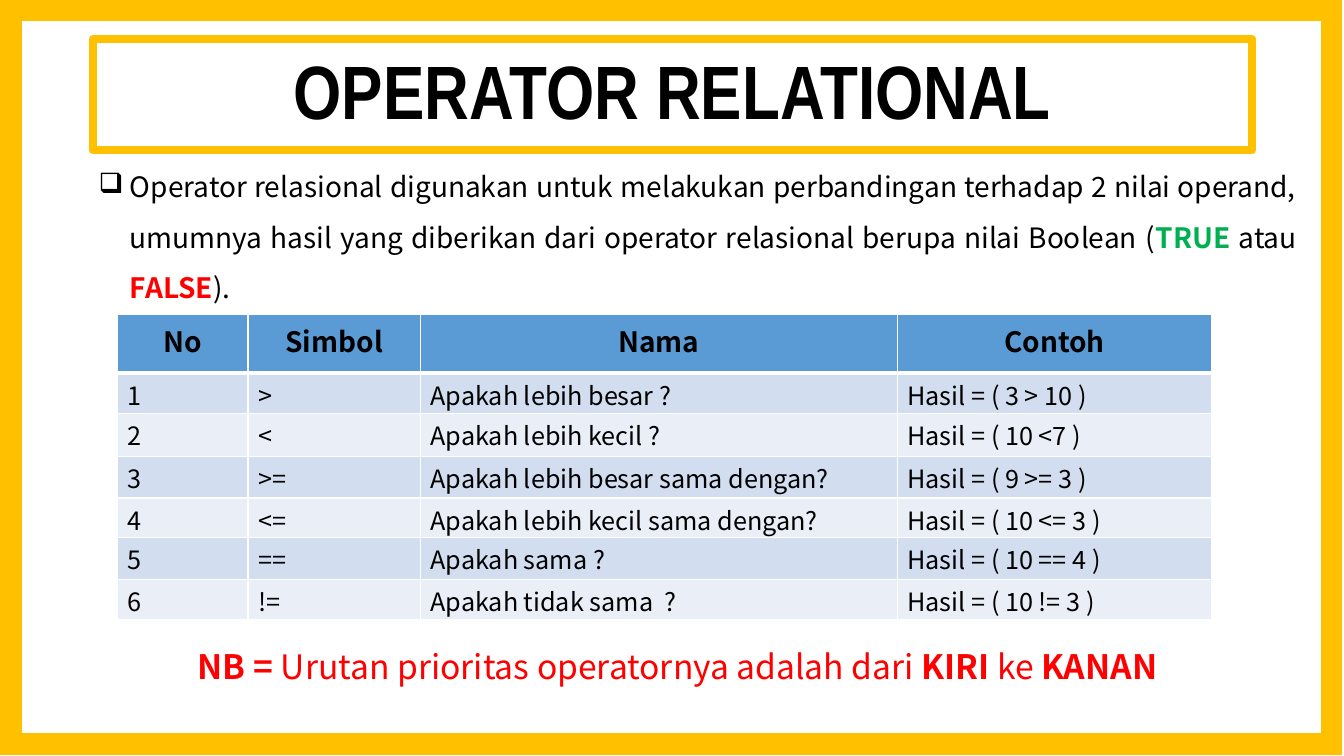
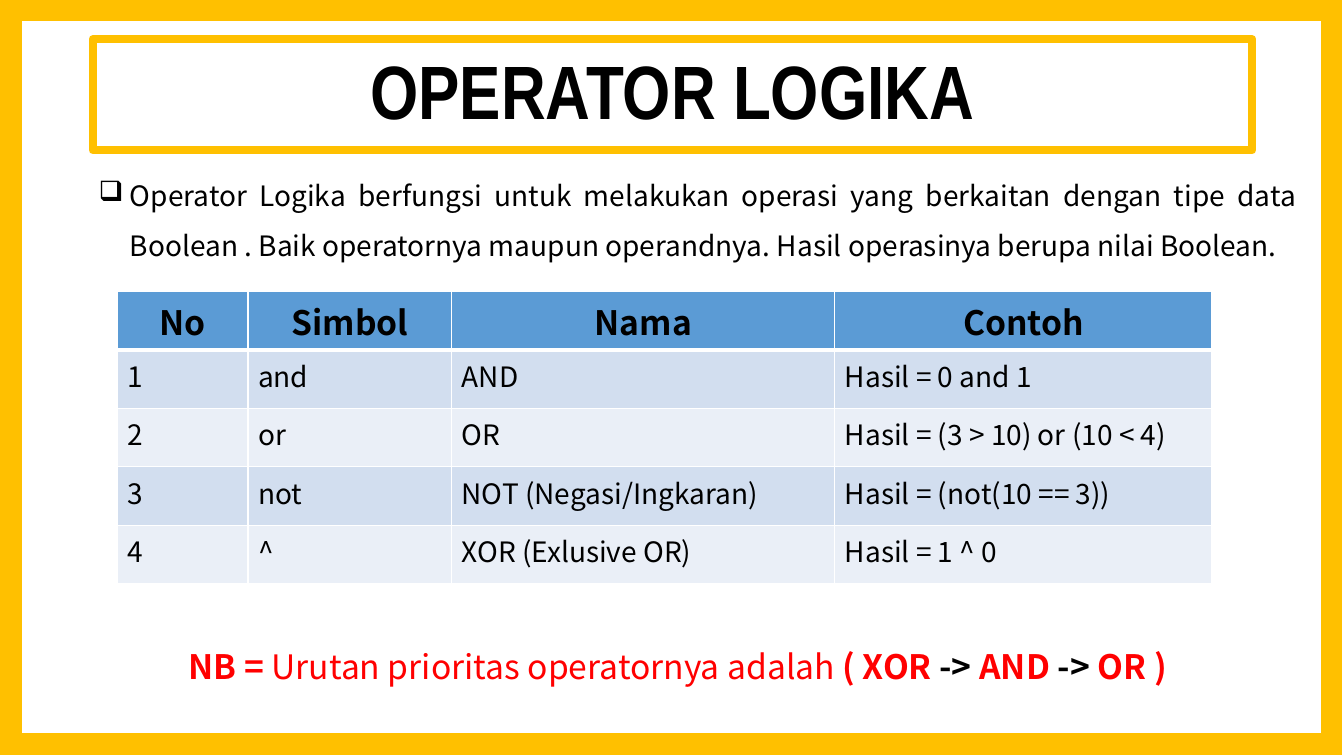
"""Build two slides that explain relational and logical operators."""
from dataclasses import dataclass
from typing import Any, NamedTuple

from lxml.etree import SubElement
from pptx import Presentation
from pptx.dml.color import RGBColor
from pptx.enum.shapes import MSO_SHAPE as Preset
from pptx.enum.text import MSO_ANCHOR as Anchor, MSO_AUTO_SIZE as AutoSize, PP_ALIGN as Align
from pptx.oxml.ns import qn
from pptx.util import Inches, Pt

BLACK = RGBColor(0x00, 0x00, 0x00)
WHITE = RGBColor(0xFF, 0xFF, 0xFF)
RED = RGBColor(0xFF, 0x00, 0x00)
GREEN = RGBColor(0x00, 0xB0, 0x50)
AMBER = RGBColor(0xFF, 0xC0, 0x00)
HEADER_BLUE = RGBColor(0x5B, 0x9B, 0xD5)
BAND_COLOURS = (RGBColor(0xD2, 0xDE, 0xEF), RGBColor(0xEA, 0xEF, 0xF7))
BODY_FONT = "Noto Sans CJK JP"
TITLE_FONT = "Arial Narrow"
LINE_PITCH = 1.8
GRID_STEP = Inches(0.1)
HEADINGS = ("No", "Simbol", "Nama", "Contoh")


class Box(NamedTuple):
    """Place and size in grid columns and rows."""
    column: float
    row: float
    columns: float
    rows: float


class Run(NamedTuple):
    """Piece of text with its colour and weight."""
    text: str
    colour: RGBColor = BLACK
    bold: bool = False


@dataclass(frozen=True)
class OperatorTable:
    """Operators with the measures of their table."""
    top: float
    columns: tuple[float, ...]
    rows: tuple[float, ...]
    header_size: int
    body_size: int
    body_padding: float
    operators: tuple[tuple[str, str, str], ...]


@dataclass(frozen=True)
class Topic:
    """Content of one slide."""
    title: str
    intro_box: Box
    intro: tuple[Run, ...]
    table: OperatorTable
    note: tuple[Run, ...]


FRAME_BOX = Box(1.1, 1, 131, 72.8)
TITLE_BOX = Box(9.2, 3.9, 115, 11)
NOTE_BOX = Box(1.8, 61.6, 125.8, 7.1)
TABLE_LEFT = 11.6

TOPICS = (
    Topic(
        title="OPERATOR RELATIONAL",
        intro_box=Box(3.8, 14.7, 125.8, 16.2),
        intro=(
            Run("Operator relasional digunakan untuk melakukan perbandingan terhadap 2 nilai "
                "operand, umumnya hasil yang diberikan dari operator relasional berupa nilai Boolean ("),
            Run("TRUE ", GREEN, True),
            Run("atau "),
            Run("FALSE", RED, True),
            Run(")."),
        ),
        table=OperatorTable(
            top=31.2,
            columns=(13, 17.1, 47.3, 31.2),
            rows=(5.8, 4, 4.3, 4.1, 3.9, 4.2, 4),
            header_size=20,
            body_size=18,
            body_padding=0.3,
            operators=(
                (">", "Apakah lebih besar ?", "Hasil = ( 3 > 10 )"),
                ("<", "Apakah lebih kecil ?", "Hasil = ( 10 <7 )"),
                (">=", "Apakah lebih besar sama dengan?", "Hasil = ( 9 >= 3 )"),
                ("<=", "Apakah lebih kecil sama dengan?", "Hasil = ( 10 <= 3 )"),
                ("==", "Apakah sama ?", "Hasil = ( 10 == 4 )"),
                ("!=", "Apakah tidak sama  ?", "Hasil = ( 10 != 3 )"),
            ),
        ),
        note=(
            Run("NB = ", RED, True),
            Run("Urutan prioritas operatornya adalah dari ", RED),
            Run("KIRI ", RED, True),
            Run("ke ", RED),
            Run("KANAN", RED, True),
        ),
    ),
    Topic(
        title="OPERATOR LOGIKA",
        intro_box=Box(3.8, 15.5, 125.8, 11.1),
        intro=(
            Run("Operator Logika berfungsi untuk melakukan operasi yang berkaitan dengan tipe data "
                "Boolean . Baik operatornya maupun operandnya. Hasil operasinya berupa nilai Boolean."),
        ),
        table=OperatorTable(
            top=28.9,
            columns=(13, 20.2, 38, 37.4),
            rows=(5.8,) * 5,
            header_size=24,
            body_size=20,
            body_padding=0.5,
            operators=(
                ("and", "AND", "Hasil = 0 and 1"),
                ("or", "OR", "Hasil = (3 > 10) or (10 < 4)"),
                ("not", "NOT (Negasi/Ingkaran) ", "Hasil = (not(10 == 3))"),
                ("^", "XOR (Exlusive OR)", "Hasil = 1 ^ 0"),
            ),
        ),
        note=(
            Run("NB = ", RED, True),
            Run("Urutan prioritas operatornya adalah ", RED),
            Run("( XOR ", RED, True),
            Run("->", BLACK, True),
            Run(" AND ", RED, True),
            Run("->", BLACK, True),
            Run(" OR )", RED, True),
        ),
    ),
)


def grid(count: float) -> int:
    """Turn grid steps into a length."""
    return round(count * GRID_STEP)


def place(box: Box) -> tuple[int, ...]:
    """Turn a grid box into left, top, width and height."""
    return tuple(grid(count) for count in box)


def apply_format(target: Any, values: dict[str, Any]) -> None:
    """Set every named attribute on the target."""
    for name, value in values.items():
        setattr(target, name, value)


def write_runs(paragraph: Any, runs: tuple[Run, ...], size: int, font_name: str = BODY_FONT) -> None:
    """Add formatted runs to a paragraph."""
    for piece in runs:
        run = paragraph.add_run()
        run.text = piece.text
        apply_format(run.font, {"name": font_name, "size": Pt(size), "bold": piece.bold})
        run.font.color.rgb = piece.colour


def add_outline(slide: Any, box: Box, weight: float, join: str) -> Any:
    """Draw an unfilled amber rectangle with the given line join."""
    shape = slide.shapes.add_shape(Preset.RECTANGLE, *place(box))
    shape.shadow.inherit = False
    shape.fill.background()
    shape.line.color.rgb = AMBER
    shape.line.width = Pt(weight)
    SubElement(shape.line._get_or_add_ln(), qn(f"a:{join}"))
    return shape


def add_title(slide: Any, title: str) -> None:
    """Draw the framed slide title."""
    frame = add_outline(slide, TITLE_BOX, 6, "round").text_frame
    apply_format(frame, {"word_wrap": True, "vertical_anchor": Anchor.MIDDLE})
    paragraph = frame.paragraphs[0]
    apply_format(paragraph, {"alignment": Align.CENTER, "line_spacing": 0.9})
    write_runs(paragraph, (Run(title, BLACK, True),), 54, TITLE_FONT)


def add_text(slide: Any, box: Box, runs: tuple[Run, ...], size: int, alignment: Align,
             margin: float, hanging: float = 0, bullet: str = "") -> None:
    """Add a wrapped paragraph, with a bullet if one is given."""
    frame = slide.shapes.add_textbox(*place(box)).text_frame
    apply_format(frame, {"word_wrap": True, "auto_size": AutoSize.SHAPE_TO_FIT_TEXT})
    paragraph = frame.paragraphs[0]
    apply_format(paragraph, {"alignment": alignment, "level": 1, "line_spacing": Pt(size * LINE_PITCH)})
    properties = paragraph._p.get_or_add_pPr()
    properties.set("marL", str(grid(margin)))
    properties.set("indent", str(-grid(hanging)))
    if bullet:
        SubElement(properties, qn("a:buChar")).set("char", bullet)
    write_runs(paragraph, runs, size)


def add_borders(cell: Any, bottom_weight: float) -> None:
    """Give a cell white borders."""
    properties = cell._tc.get_or_add_tcPr()
    for side, weight in {"L": 1, "R": 1, "T": 1, "B": bottom_weight}.items():
        border = SubElement(properties, qn(f"a:ln{side}"), w=str(Pt(weight)))
        fill = SubElement(border, qn("a:solidFill"))
        SubElement(fill, qn("a:srgbClr"), val=str(WHITE))


def fill_cell(cell: Any, text: str, row: int, table: OperatorTable) -> None:
    """Format a header cell or a banded body cell."""
    header = row == 0
    add_borders(cell, 3 if header else 1)
    cell.fill.solid()
    cell.fill.fore_color.rgb = HEADER_BLUE if header else BAND_COLOURS[(row - 1) % 2]
    apply_format(cell, {"margin_top": grid(0.5 if header else table.body_padding), "margin_bottom": 0})
    paragraph = cell.text_frame.paragraphs[0]
    paragraph.alignment = Align.CENTER if header else Align.LEFT
    write_runs(paragraph, (Run(text, BLACK, header),), table.header_size if header else table.body_size)


def add_operator_table(slide: Any, table: OperatorTable) -> None:
    """Draw the numbered table of operators."""
    numbered = [(str(number), *operator) for number, operator in enumerate(table.operators, 1)]
    box = Box(TABLE_LEFT, table.top, sum(table.columns), sum(table.rows))
    drawn = slide.shapes.add_table(len(table.rows), len(table.columns), *place(box)).table
    for column, width in zip(drawn.columns, table.columns):
        column.width = grid(width)
    for row, height in zip(drawn.rows, table.rows):
        row.height = grid(height)
    for row_index, texts in enumerate([HEADINGS, *numbered]):
        for column_index, text in enumerate(texts):
            fill_cell(drawn.cell(row_index, column_index), text, row_index, table)


def add_topic(presentation: Any, topic: Topic) -> None:
    """Add one complete slide."""
    slide = presentation.slides.add_slide(presentation.slide_layouts[6])
    add_text(slide, topic.intro_box, topic.intro, 20, Align.JUSTIFY, 8.1, 3.1, "\u2751")
    add_operator_table(slide, topic.table)
    add_text(slide, NOTE_BOX, topic.note, 24, Align.CENTER, 5)
    add_outline(slide, FRAME_BOX, 15.25, "miter")
    add_title(slide, topic.title)


def main() -> None:
    """Build and save the presentation."""
    presentation = Presentation()
    apply_format(presentation, {"slide_width": Inches(13.33), "slide_height": Inches(7.5)})
    for topic in TOPICS:
        add_topic(presentation, topic)
    presentation.save("out.pptx")


main()
